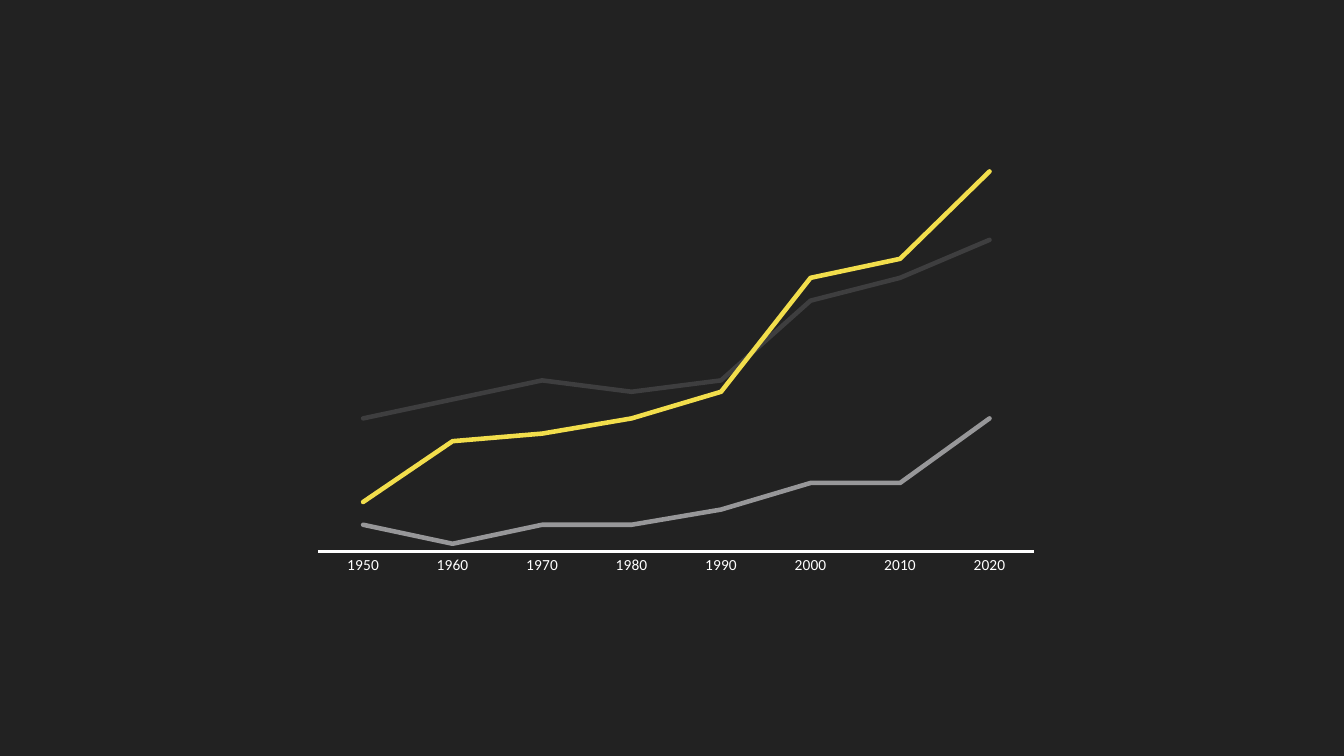
from pptx import Presentation
from pptx.chart.data import CategoryChartData
from pptx.dml.color import RGBColor
from pptx.enum.chart import XL_CHART_TYPE, XL_MARKER_STYLE, XL_TICK_MARK
from pptx.oxml import parse_xml
from pptx.oxml.ns import nsdecls, qn
from pptx.util import Inches, Pt

COLORS = {
    "background": "222222",
    "axis": "FFFFFF",
    "text": "525254",
    "Series 1": "3E3E3F",
    "Series 2": "979799",
    "Series 3": "F2DE4C",
}
YEARS = [str(year) for year in range(1950, 2021, 10)]
TRENDS = {
    "Series 1": (35, 40, 45, 42, 45, 66, 72, 82),
    "Series 2": (7, 2, 7, 7, 11, 18, 18, 35),
    "Series 3": (13, 29, 31, 35, 42, 72, 77, 100),
}


class SlideBuilder:
    def __init__(self, slide, colors):
        self.slide = slide
        self.colors = colors

    def rgb(self, name):
        return RGBColor.from_string(self.colors[name])

    def background(self):
        fill = self.slide.background.fill
        fill.solid()
        fill.fore_color.rgb = self.rgb("background")

    def font(self, font, name, size, color):
        font.name = name
        font.size = Pt(size)
        font.color.rgb = self.rgb(color)

    def line(self, line_format, color, width):
        line_format.color.rgb = self.rgb(color)
        line_format.width = Pt(width)

    def plot_layout(self, chart, x, y, w, h):
        plot_area = chart.element.find(".//" + qn("c:plotArea"))
        for layout in plot_area.findall(qn("c:layout")):
            plot_area.remove(layout)
        sizes = "".join(f'<c:{tag} val="{value}"/>'
                        for tag, value in zip("xywh", (x, y, w, h)))
        plot_area.insert(0, parse_xml(
            f'<c:layout {nsdecls("c")}><c:manualLayout>'
            '<c:layoutTarget val="inner"/>'
            '<c:xMode val="edge"/><c:yMode val="edge"/>'
            f'{sizes}</c:manualLayout></c:layout>'))

    def line_chart(self, left, top, width, height, categories, series):
        data = CategoryChartData()
        data.categories = categories
        for name, values in series.items():
            data.add_series(name, values)
        chart = self.slide.shapes.add_chart(
            XL_CHART_TYPE.LINE, Inches(left), Inches(top),
            Inches(width), Inches(height), data).chart
        chart.has_legend = False
        chart.has_title = False
        self.font(chart.font, "Noto Sans CJK JP", 10, "text")

        # Trend lines with rounded ends
        chart.plots[0].vary_by_categories = False
        for trend in chart.plots[0].series:
            trend.smooth = False
            trend.marker.style = XL_MARKER_STYLE.NONE
            self.line(trend.format.line, trend.name, 3.25)
            trend.format.line._get_or_add_ln().set("cap", "rnd")

        # Year axis
        years = chart.category_axis
        years.has_major_gridlines = False
        years.major_tick_mark = years.minor_tick_mark = XL_TICK_MARK.NONE
        self.font(years.tick_labels.font, "Calibri", 11, "axis")
        self.line(years.format.line, "axis", 2)

        # Hidden value axis
        scale = chart.value_axis
        scale.has_major_gridlines = False
        scale.minimum_scale = 0
        scale.maximum_scale = 106.6
        scale.visible = False
        return chart


def main():
    prs = Presentation()
    prs.slide_width, prs.slide_height = Inches(13.33), Inches(7.5)
    builder = SlideBuilder(prs.slides.add_slide(prs.slide_layouts[6]), COLORS)

    # Dark slide with the trends by decade
    builder.background()
    trends_chart = builder.line_chart(2.95, 1.31, 7.42, 4.47, YEARS, TRENDS)
    builder.plot_layout(trends_chart, 0.028, 0.032, 0.957, 0.899)

    prs.save("out.pptx")


if __name__ == "__main__":
    main()
